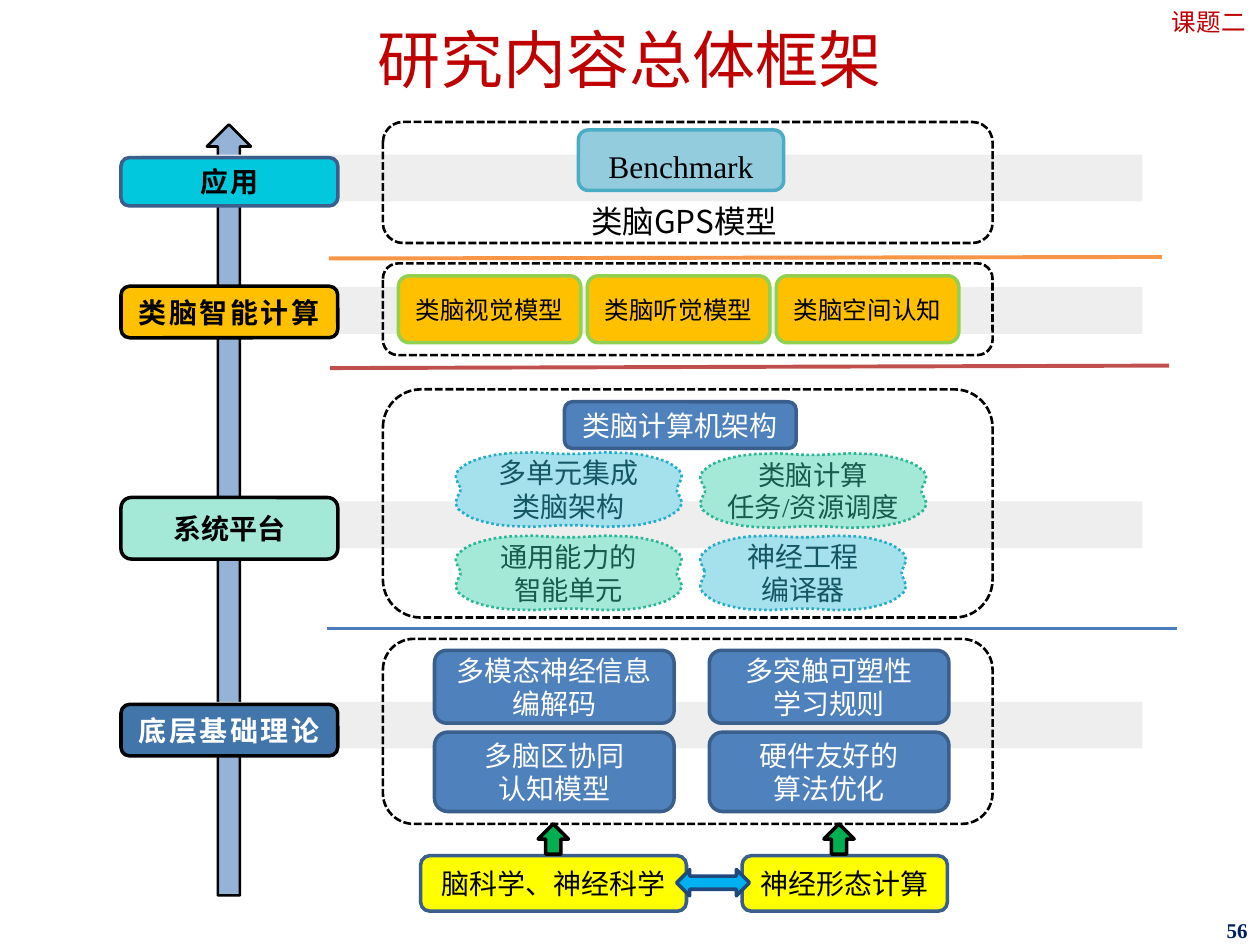
from lxml import etree
from pptx import Presentation
from pptx.dml.color import RGBColor
from pptx.enum.dml import MSO_LINE
from pptx.enum.shapes import MSO_CONNECTOR, MSO_SHAPE
from pptx.enum.text import MSO_ANCHOR, PP_ALIGN
from pptx.oxml.ns import qn
from pptx.util import Cm, Pt

ROUND, RECT = MSO_SHAPE.ROUNDED_RECTANGLE, MSO_SHAPE.RECTANGLE
UP, BOTH_WAYS = MSO_SHAPE.UP_ARROW, MSO_SHAPE.LEFT_RIGHT_ARROW
ALT_PROCESS = MSO_SHAPE.FLOWCHART_ALTERNATE_PROCESS
STRAIGHT = MSO_CONNECTOR.STRAIGHT
DASH, DOT = MSO_LINE.SQUARE_DOT, MSO_LINE.ROUND_DOT
CENTER, RIGHT = PP_ALIGN.CENTER, PP_ALIGN.RIGHT
TOP, MIDDLE = MSO_ANCHOR.TOP, MSO_ANCHOR.MIDDLE

BLACK = RGBColor(0x00, 0x00, 0x00)
WHITE = RGBColor(0xFF, 0xFF, 0xFF)
RED = RGBColor(0xC0, 0x00, 0x00)
NAVY = RGBColor(0x00, 0x20, 0x60)
STRIPE = RGBColor(0xEE, 0xEE, 0xEF)
SHAFT = RGBColor(0x95, 0xB3, 0xD7)
BLUE = RGBColor(0x4F, 0x81, 0xBD)
BLUE_EDGE = RGBColor(0x3A, 0x5F, 0x8C)
STEEL = RGBColor(0x42, 0x76, 0xAA)
TURQUOISE = RGBColor(0x01, 0xC8, 0xDD)
AMBER = RGBColor(0xFF, 0xC0, 0x00)
LIME = RGBColor(0x92, 0xD0, 0x50)
YELLOW = RGBColor(0xFF, 0xFF, 0x00)
GREEN = RGBColor(0x00, 0xB0, 0x50)
SKY = RGBColor(0x00, 0xB0, 0xF0)
SKY_EDGE = RGBColor(0x1F, 0x49, 0x7D)
BENCH = RGBColor(0x93, 0xCD, 0xDD)
BENCH_EDGE = RGBColor(0x4B, 0xAC, 0xC6)
RULE_BLUE = RGBColor(0x4B, 0x7E, 0xBC)
RULE_RED = RGBColor(0xC0, 0x50, 0x4D)
RULE_ORANGE = RGBColor(0xF7, 0x96, 0x46)
MINT = RGBColor(0xA4, 0xE9, 0xD8)
MINT_EDGE = RGBColor(0x2C, 0xB6, 0x95)
MINT_TEXT = RGBColor(0x16, 0x5B, 0x4B)
AQUA = RGBColor(0xA4, 0xE1, 0xED)
AQUA_EDGE = RGBColor(0x28, 0xAC, 0xC6)
AQUA_TEXT = RGBColor(0x14, 0x56, 0x63)

prs = Presentation()
prs.slide_width, prs.slide_height = Cm(25.4), Cm(19.05)
s = prs.slides.add_slide(prs.slide_layouts[6])


def write(sp, text, size=16, color=BLACK, font="Times New Roman", bold=False,
          align=CENTER, anchor=MIDDLE, spacing=None, tracking=0,
          insets=(0, 0, 0, 0)):
    """Fill a shape with one paragraph per line; insets are l, t, r, b in cm."""
    tf = sp.text_frame
    tf.word_wrap = True
    tf.vertical_anchor = anchor
    tf.margin_left, tf.margin_top, tf.margin_right, tf.margin_bottom = map(Cm, insets)
    for i, line in enumerate(text.split("\n")):
        p = tf.paragraphs[0] if i == 0 else tf.add_paragraph()
        p.alignment = align
        if spacing:
            p.line_spacing = spacing
        r = p.add_run()
        r.text = line
        r.font.name, r.font.size, r.font.bold = font, Pt(size), bold
        r.font.color.rgb = color
        if tracking:
            r._r.get_or_add_rPr().set("spc", str(int(tracking * 100)))


def draw(kind, x, y, w, h, fill=None, edge=None, width=2, dash=None, outline=None):
    """Draw a preset shape, or a freeform if outline gives fractions of w and h."""
    if outline:
        points = [(Cm(x + w * u), Cm(y + h * v)) for u, v in outline]
        builder = s.shapes.build_freeform(*points[0])
        builder.add_line_segments(points[1:], close=True)
        sp = builder.convert_to_shape()
    else:
        sp = s.shapes.add_shape(kind, Cm(x), Cm(y), Cm(w), Cm(h))
    sp.shadow.inherit = False
    if fill is None:
        sp.fill.background()
    else:
        sp.fill.solid()
        sp.fill.fore_color.rgb = fill
    if edge is None:
        sp.line.fill.background()
    else:
        sp.line.color.rgb = edge
        sp.line.width = Pt(width)
        if dash:
            sp.line.dash_style = dash
    return sp


# Headings and page number
for text, box, fmt in [
    ("研究内容总体框架", (0, 0, 25.4, 2.26),
     dict(size=36, color=RED, spacing=0.9, insets=(0.25, 0.41, 0.25, 0.13))),
    ("56", (19.69, 18.49, 5.71, 0.56),
     dict(size=12, color=NAVY, bold=True, align=RIGHT, insets=(0.25, 0.1, 0.25, 0.13))),
    ("课题二", (23.34, 0, 2.06, 0.86), dict(size=14, color=RED)),
]:
    write(s.shapes.add_textbox(*map(Cm, box)), text, **fmt)

# Layer axis, stripes and separators
draw(UP, 4.17, 2.51, 0.89, 15.54, SHAFT, BLACK, 1.5)
for y in (3.12, 5.79, 10.11, 14.15):
    draw(RECT, 2.84, y, 20.19, 0.94, STRIPE)
for color, *ends in [
    (RULE_ORANGE, 6.63, 5.21, 23.42, 5.18),
    (RULE_RED, 6.65, 7.42, 23.57, 7.37),
    (RULE_BLUE, 6.6, 12.67, 23.72, 12.67),
]:
    rule = s.shapes.add_connector(STRAIGHT, *map(Cm, ends))
    rule.line.color.rgb = color
    rule.line.width = Pt(2.25)
    etree.SubElement(rule._element.spPr, qn("a:effectLst"))

# Layer names
for text, y, h, fill, edge, color, tracking in [
    ("应用", 3.18, 0.97, TURQUOISE, BLUE_EDGE, BLACK, 1.5),
    ("类脑智能计算", 5.77, 1.04, AMBER, BLACK, BLACK, 1.5),
    ("系统平台", 10.03, 1.24, MINT, BLACK, BLACK, 0),
    ("底层基础理论", 14.2, 1.04, STEEL, BLACK, WHITE, 1.5),
]:
    write(draw(ROUND, 2.44, y, 4.37, h, fill, edge), text, color=color,
          font="Arial", bold=True, tracking=tracking)

# Dashed frame of each layer
for y, h in [(2.46, 2.44), (5.31, 1.85), (7.85, 4.6), (12.88, 3.73)]:
    draw(ROUND, 7.72, y, 12.29, h, edge=BLACK, width=1.5, dash=DASH)

# Application layer
write(draw(ALT_PROCESS, 11.66, 2.62, 4.14, 1.22, BENCH, BENCH_EDGE),
      "Benchmark", size=18, spacing=1.3)
write(s.shapes.add_textbox(Cm(8.43), Cm(3.94), Cm(10.72), Cm(1.8)), "类脑GPS模型",
      size=18, font="Noto Sans CJK SC", anchor=TOP, insets=(0.25, 0.13, 0.25, 0.13))

# Brain-like computing layer
for i, text in enumerate(["类脑视觉模型", "类脑听觉模型", "类脑空间认知"]):
    write(draw(ROUND, 8.03 + 3.81 * i, 5.56, 3.68, 1.35, AMBER, LIME), text, size=14)

# Platform layer: one quarter of the notched outline is mirrored on both axes
quarter = [(0.02, 0.47), (0.01, 0.42), (0, 0.34), (0, 0.31), (0.01, 0.24),
           (0.04, 0.17), (0.07, 0.12), (0.12, 0.07), (0.18, 0.03), (0.24, 0.01),
           (0.34, 0), (0.4, 0.01), (0.46, 0.02)]
upper = quarter + [(1 - u, v) for u, v in reversed(quarter)]
notched = upper + [(u, 1 - v) for u, v in reversed(upper)]
mint = (MINT, MINT_EDGE, MINT_TEXT, 15.6)
aqua = (AQUA, AQUA_EDGE, AQUA_TEXT, 16)
for text, x, y, w, (fill, edge, color, size) in [
    ("多单元集成\n类脑架构", 9.19, 9.12, 4.55, aqua),
    ("类脑计算\n任务/资源调度", 14.12, 9.14, 4.55, mint),
    ("通用能力的\n智能单元", 9.19, 10.8, 4.55, mint),
    ("神经工程\n编译器", 14.12, 10.8, 4.14, aqua),
]:
    write(draw(None, x, y, w, 1.5, fill, edge, 1.5, DOT, notched), text,
          size=size, color=color)
write(draw(ROUND, 11.38, 8.1, 4.67, 0.94, BLUE, BLUE_EDGE), "类脑计算机架构", color=WHITE)

# Theory layer
for y, h, row in [
    (13.11, 1.47, ["多模态神经信息\n编解码", "多突触可塑性\n学习规则"]),
    (14.76, 1.6, ["多脑区协同\n认知模型", "硬件友好的\n算法优化"]),
]:
    for x, text in zip((8.76, 14.3), row):
        write(draw(ROUND, x, y, 4.83, h, BLUE, BLUE_EDGE), text, color=WHITE)

# Foundations feeding the theory layer
for text, x, w, arrow_x in [
    ("脑科学、神经科学", 8.48, 5.36, 10.85),
    ("神经形态计算", 14.96, 4.14, 16.61),
]:
    write(draw(ROUND, x, 17.25, w, 1.12, YELLOW, BLUE_EDGE), text)
    draw(UP, arrow_x, 16.61, 0.61, 0.61, GREEN, BLACK)
draw(BOTH_WAYS, 13.64, 17.53, 1.47, 0.53, SKY, SKY_EDGE)

prs.save("out.pptx")
